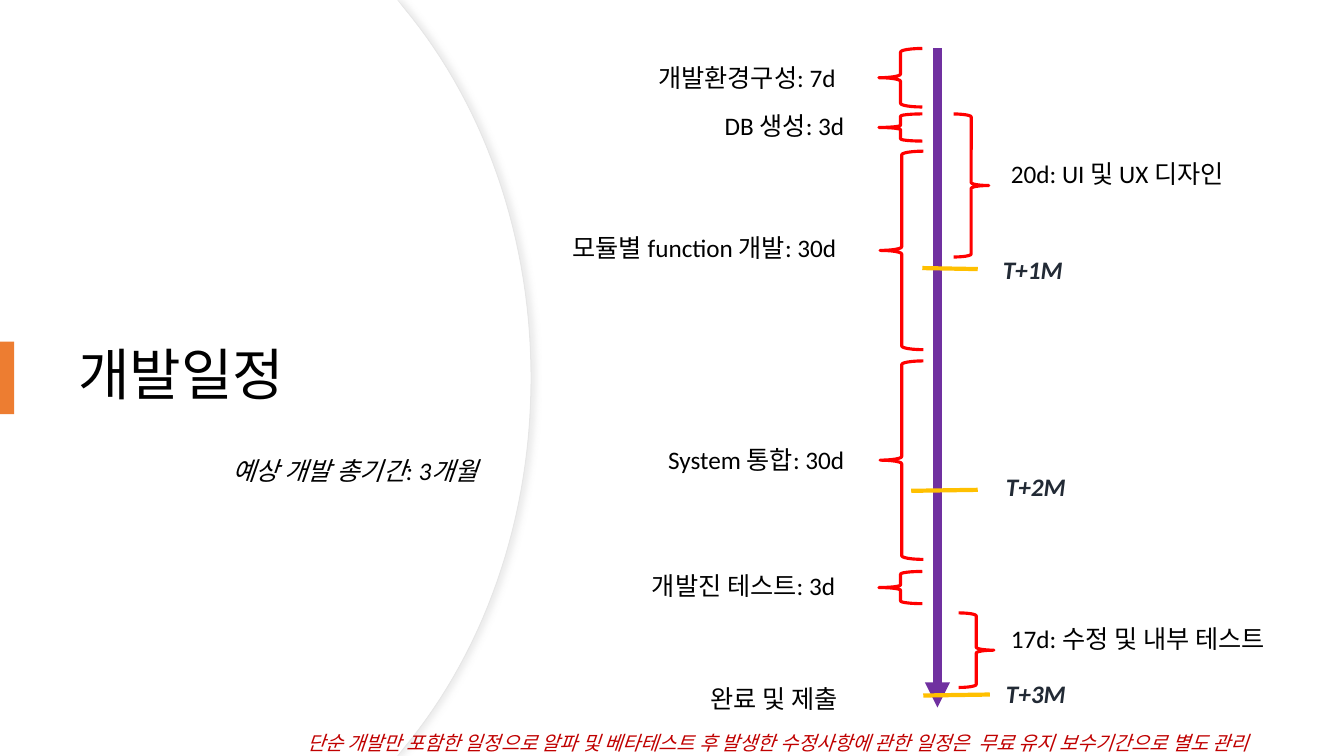
from dataclasses import dataclass

from lxml import etree
from pptx import Presentation
from pptx import util as u
from pptx.dml.color import RGBColor
from pptx.enum import shapes, text
from pptx.oxml import ns
from pptx.shapes.base import BaseShape
from pptx.shapes.connector import Connector
from pptx.slide import Slide


@dataclass(frozen=True)
class Theme:
    font: str = "Calibri"
    title_size: float = 40
    body_size: float = 18
    note_size: float = 14
    ink: str = "000000"
    milestone: str = "222A35"
    note: str = "C00000"
    panel: str = "FFFFFF"
    panel_edge: str = "E6E6E6"
    panel_shadow: str = "D9D9D9"
    accent: str = "ED7D31"
    axis: str = "7030A0"
    tick: str = "FFC000"
    brace: str = "FF0000"


THEME = Theme()
LABEL_HEIGHT = 29.1


@dataclass(frozen=True)
class Label:
    words: str
    left: float
    top: float
    width: float
    height: float = LABEL_HEIGHT
    size: float = THEME.body_size
    color: str = THEME.ink
    bold: bool = False
    italic: bool = False
    wrap: bool = True
    line_spacing: float = 1.0
    anchor: text.MSO_ANCHOR = text.MSO_ANCHOR.TOP


@dataclass(frozen=True)
class Brace:
    left: float
    top: float
    height: float
    opens_right: bool = True


@dataclass(frozen=True)
class Milestone:
    name: str
    left: float
    top: float
    tick_start: tuple[float, float]
    tick_end: tuple[float, float]


LABELS = [
    Label("개발일정", 49, 91.4, 283.7, 356.4, THEME.title_size,
          line_spacing=0.9, anchor=text.MSO_ANCHOR.MIDDLE),
    Label("예상 개발 총기간: 3개월", 159.1, 321.8, 204.5, italic=True),
    Label("개발환경구성: 7d", 463, 41, 151.2),
    Label("DB 생성: 3d", 510.5, 74.9, 103.7),
    Label("모듈별 function 개발: 30d", 401.8, 162.7, 212.4),
    Label("System 통합: 30d", 470.2, 313.9, 144.7),
    Label("개발진 테스트: 3d", 458.6, 403.9, 155.5),
    Label("완료 및 제출", 500.4, 484.6, 113.8),
    Label("20d: UI 및 UX 디자인", 715, 109.4, 178.6),
    Label("17d: 수정 및 내부 테스트", 715, 441.4, 209.5),
    Label("단순 개발만 포함한 일정으로 알파 및 베타테스트 후 발생한 수정사항에 관한 일정은  "
          "무료 유지 보수기간으로 별도 관리", 212.4, 518.4, 746.6, 24.5,
          THEME.note_size, THEME.note, italic=True),
]

BRACES = [
    Brace(627.8, 34.6, 41.8),
    Brace(627.8, 81.4, 19.4),
    Brace(628.6, 108, 141.8),
    Brace(628.6, 257.8, 141.8),
    Brace(627.8, 408.2, 23),
    Brace(681.1, 81.4, 102.2, opens_right=False),
    Brace(684.7, 437.8, 53.3, opens_right=False),
]

MILESTONES = [
    Milestone("T+1M", 709.2, 177.8, (658.8, 191.5), (698.4, 192.2)),
    Milestone("T+2M", 711.4, 333.4, (650.9, 350.6), (698.4, 349.9)),
    Milestone("T+3M", 711.4, 481, (659.5, 496.8), (707, 496.1)),
]


def rgb(color: str) -> RGBColor:
    return RGBColor.from_string(color)


def fill_shape(shape: BaseShape, color: str) -> None:
    shape.shadow.inherit = False
    shape.fill.solid()
    shape.fill.fore_color.rgb = rgb(color)
    shape.line.fill.background()


def add_label(page: Slide, label: Label) -> None:
    box = page.shapes.add_textbox(u.Pt(label.left), u.Pt(label.top),
                                  u.Pt(label.width), u.Pt(label.height))
    frame = box.text_frame
    frame.word_wrap = label.wrap
    frame.vertical_anchor = label.anchor
    para = frame.paragraphs[0]
    para.text = label.words
    para.line_spacing = label.line_spacing
    para.font.name = THEME.font
    para.font.size = u.Pt(label.size)
    para.font.bold = label.bold
    para.font.italic = label.italic
    para.font.color.rgb = rgb(label.color)


def add_line(page: Slide, start: tuple[float, float], end: tuple[float, float],
             color: str, width: float) -> Connector:
    line = page.shapes.add_connector(shapes.MSO_CONNECTOR.STRAIGHT,
                                     *map(u.Pt, start + end))
    line.line.color.rgb = rgb(color)
    line.line.width = u.Pt(width)
    etree.SubElement(line._element.spPr, ns.qn("a:effectLst"))
    return line


def add_brace(page: Slide, brace: Brace) -> None:
    kind, width = ((shapes.MSO_SHAPE.LEFT_BRACE, 31) if brace.opens_right
                   else (shapes.MSO_SHAPE.RIGHT_BRACE, 25.2))
    shape = page.shapes.add_shape(kind, u.Pt(brace.left), u.Pt(brace.top),
                                  u.Pt(width), u.Pt(brace.height))
    shape.shadow.inherit = False
    shape.fill.background()
    shape.line.color.rgb = rgb(THEME.brace)
    shape.line.width = u.Pt(2.25)


def add_panel(page: Slide, inset: float) -> BaseShape:
    """Draw the white left panel; its bulging right side is a sampled Bezier curve."""
    curve = [(288.7, 5.8), (344.9, 73.4), (379.4, 167), (379.4, 270)]
    steps = 30
    upper = [(283.7, 0)]
    for step in range(steps + 1):
        t = step / steps
        weights = ((1 - t) ** 3, 3 * t * (1 - t) ** 2, 3 * t * t * (1 - t), t ** 3)
        upper.append((sum(w * x for w, (x, _) in zip(weights, curve)) - inset,
                      sum(w * y for w, (_, y) in zip(weights, curve))))
    lower = [(x, 540 - y) for x, y in reversed(upper[:-1])]
    outline = upper + lower + [(0, 540)]
    builder = page.shapes.build_freeform(0, 0)
    builder.add_line_segments([(u.Pt(x), u.Pt(y)) for x, y in outline], close=True)
    panel = builder.convert_to_shape()
    fill_shape(panel, THEME.panel)
    return panel


def add_soft_shadow(shape: BaseShape) -> None:
    effects = shape._element.spPr.find(ns.qn("a:effectLst"))
    shadow = etree.SubElement(effects, ns.qn("a:outerShdw"), blurRad=str(u.Pt(4)),
                              dist=str(u.Pt(3)), dir="0", algn="l", rotWithShape="0")
    color = etree.SubElement(shadow, ns.qn("a:srgbClr"), val=THEME.panel_shadow)
    etree.SubElement(color, ns.qn("a:alpha"), val="50000")


def main() -> None:
    deck = Presentation()
    deck.slide_width, deck.slide_height = u.Pt(960), u.Pt(540)
    page = deck.slides.add_slide(deck.slide_layouts[6])

    edge = add_panel(page, 0)
    edge.line.color.rgb = rgb(THEME.panel_edge)
    edge.line.width = u.Pt(0.75)
    add_soft_shadow(edge)
    add_panel(page, 0.7)
    marker = page.shapes.add_shape(shapes.MSO_SHAPE.RECTANGLE, 0, u.Pt(244.1),
                                   u.Pt(10.1), u.Pt(51.8))
    fill_shape(marker, THEME.accent)

    axis = add_line(page, (669.6, 34.6), (669.6, 505.4), THEME.axis, 6)
    etree.SubElement(axis.line._get_or_add_ln(), ns.qn("a:tailEnd"), type="triangle")
    for label in LABELS:
        add_label(page, label)
    for brace in BRACES:
        add_brace(page, brace)
    for mark in MILESTONES:
        add_line(page, mark.tick_start, mark.tick_end, THEME.tick, 3)
        add_label(page, Label(mark.name, mark.left, mark.top, 56.9, wrap=False,
                              color=THEME.milestone, bold=True, italic=True))

    deck.save("out.pptx")


if __name__ == "__main__":
    main()
